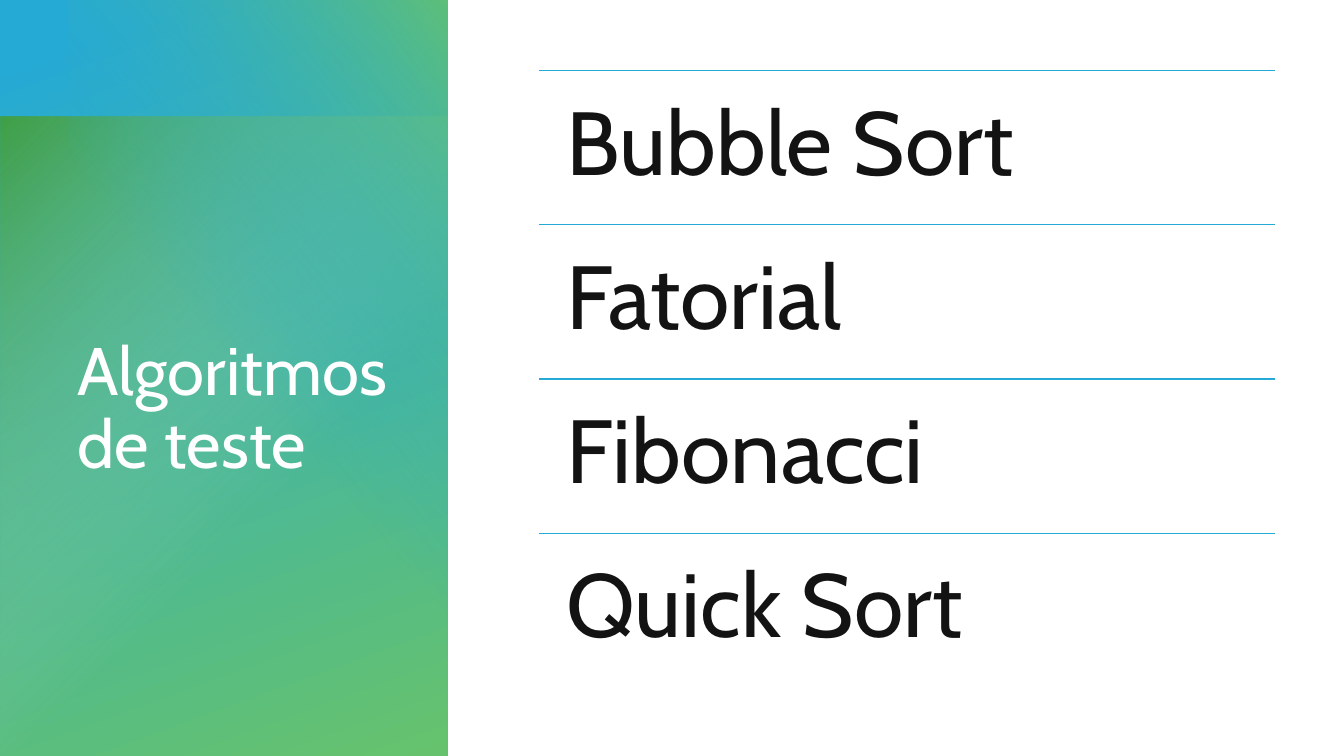
from dataclasses import dataclass

from lxml import etree
from pptx import Presentation
from pptx.dml.color import RGBColor
from pptx.enum.shapes import MSO_CONNECTOR, MSO_SHAPE
from pptx.enum.text import MSO_ANCHOR, PP_ALIGN
from pptx.oxml.ns import qn
from pptx.util import Inches, Pt

RECTANGLE = MSO_SHAPE.RECTANGLE
STRAIGHT = MSO_CONNECTOR.STRAIGHT
TOP = MSO_ANCHOR.TOP
LEFT = PP_ALIGN.LEFT
TITLE_ONLY = 5


@dataclass(frozen=True)
class Theme:
    font: str = "Cabin"
    blue: str = "25AAD5"
    green: str = "66C26C"
    dark_green: str = "3F9F46"
    pale_green: str = "A3DAA7"
    ink: str = "131313"
    white: str = "FFFFFF"
    title_size: int = 48
    item_size: int = 64
    rule_width: int = 1


class SlideBuilder:
    def __init__(self, page, theme):
        self.page = page
        self.theme = theme

    def gradient_panel(self, bounds, stops, angle=None, rotation=0):
        panel = self.page.shapes.add_shape(RECTANGLE, *map(Inches, bounds))
        panel.shadow.inherit = False
        panel.line.fill.background()
        panel.rotation = rotation
        panel.fill.gradient()
        gradient = panel._element.spPr.find(qn("a:gradFill"))
        for child in list(gradient):
            gradient.remove(child)
        gradient.set("rotWithShape", "1")
        stop_list = etree.SubElement(gradient, qn("a:gsLst"))
        for position, color, opacity in stops:
            stop = etree.SubElement(stop_list, qn("a:gs"), pos=str(position * 1000))
            tint = etree.SubElement(stop, qn("a:srgbClr"), val=color)
            if opacity < 100:
                etree.SubElement(tint, qn("a:alpha"), val=str(opacity * 1000))
        if angle is None:
            circle = etree.SubElement(gradient, qn("a:path"), path="circle")
            etree.SubElement(circle, qn("a:fillToRect"), r="100000", b="100000")
        else:
            etree.SubElement(gradient, qn("a:lin"), ang=str(angle * 60000), scaled="0")

    def set_text(self, box, text, size, color, inset=None):
        frame = box.text_frame
        frame.word_wrap = True
        frame.vertical_anchor = TOP
        if inset is not None:
            frame.margin_left = frame.margin_right = Inches(inset)
            frame.margin_top = frame.margin_bottom = Inches(inset)
        para = frame.paragraphs[0]
        para.text = text
        para.alignment = LEFT
        para.line_spacing = 0.9
        para.font.name = self.theme.font
        para.font.size = Pt(size)
        para.font.color.rgb = RGBColor.from_string(color)

    def title(self, text, bounds):
        box = self.page.shapes.title
        box.left, box.top, box.width, box.height = map(Inches, bounds)
        self.set_text(box, text, self.theme.title_size, self.theme.white)
        tree = self.page.shapes._spTree
        tree.remove(box._element)
        tree.append(box._element)

    def rule(self, left, top, width):
        ends = map(Inches, (left, top, left + width, top))
        line = self.page.shapes.add_connector(STRAIGHT, *ends)
        line.line.color.rgb = RGBColor.from_string(self.theme.blue)
        line.line.width = Pt(self.theme.rule_width)
        etree.SubElement(line._element.spPr, qn("a:effectLst"))

    def item(self, text, left, top, width, height):
        self.rule(left, top, width)
        box = self.page.shapes.add_textbox(*map(Inches, (left, top, width, height)))
        self.set_text(box, text, self.theme.item_size, self.theme.ink, inset=0.27)


def main():
    deck = Presentation()
    deck.slide_width = Inches(13.33)
    deck.slide_height = Inches(7.5)
    theme = Theme()
    page = deck.slides.add_slide(deck.slide_layouts[TITLE_ONLY])
    builder = SlideBuilder(page, theme)

    builder.gradient_panel(
        (0, 0, 4.44, 7.5), [(7, theme.blue, 100), (100, theme.green, 100)], angle=70)
    builder.gradient_panel(
        (0, 1.16, 4.44, 6.34),
        [(0, theme.dark_green, 100), (60, theme.pale_green, 0)], rotation=180)
    builder.gradient_panel(
        (-0.57, 1.24, 6.25, 3.77),
        [(0, theme.green, 86), (57, theme.blue, 0)], angle=230, rotation=270)
    builder.title("Algoritmos de teste", (0.67, 3.3, 3.37, 1.79))

    algorithms = ["Bubble Sort", "Fatorial", "Fibonacci", "Quick Sort"]
    first_top, pitch = 0.7, 1.53
    for index, name in enumerate(algorithms):
        builder.item(name, 5.35, first_top + index * pitch, 7.3, pitch)

    deck.save("out.pptx")


if __name__ == "__main__":
    main()
